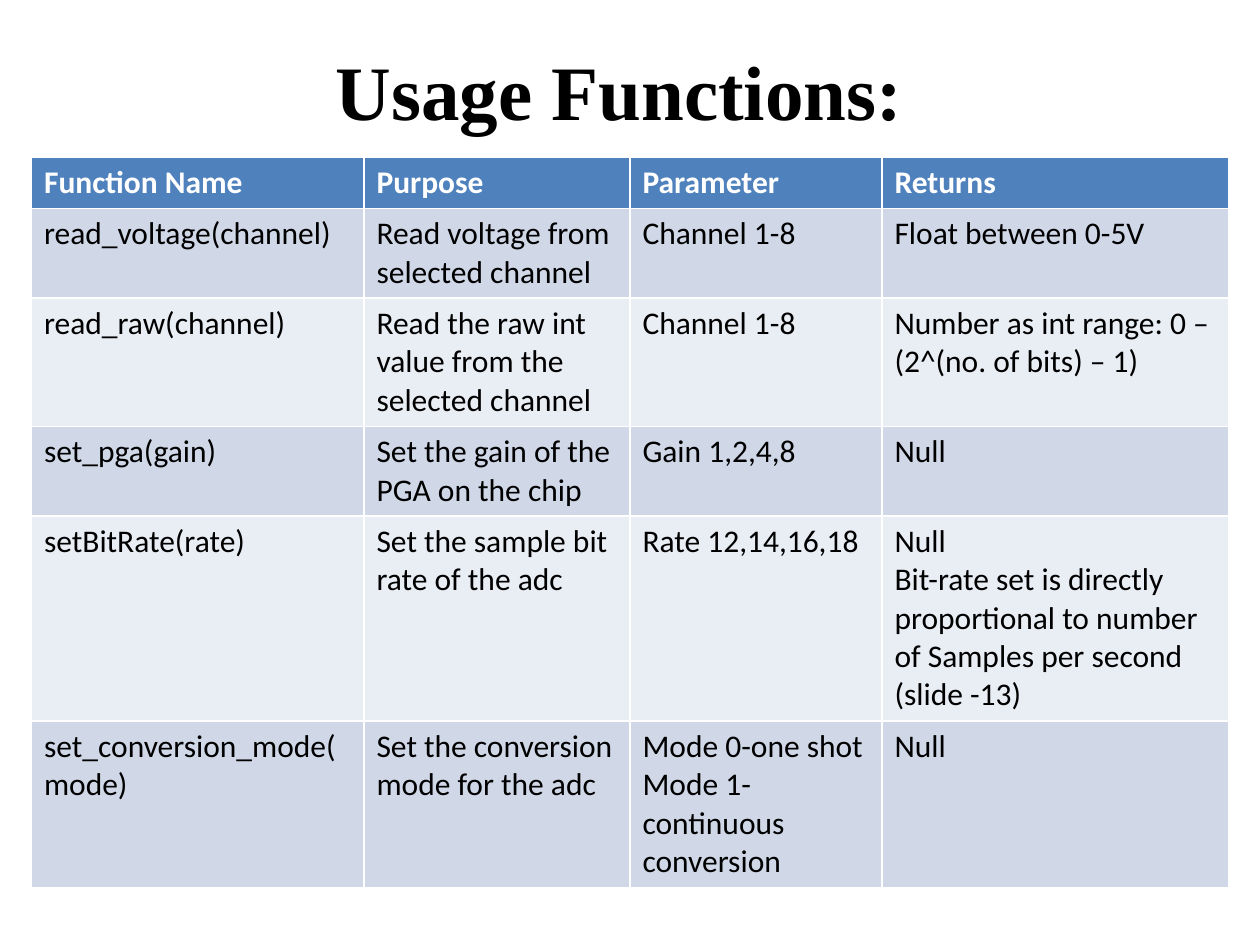
from pptx import Presentation
from pptx.dml.color import RGBColor
from pptx.enum.text import MSO_ANCHOR, PP_ALIGN
from pptx.util import Pt

BLACK = RGBColor(0x00, 0x00, 0x00)
WHITE = RGBColor(0xFF, 0xFF, 0xFF)
HEADER_BLUE = RGBColor(0x4F, 0x81, 0xBD)
BANDS = (RGBColor(0xE9, 0xED, 0xF4), RGBColor(0xD0, 0xD8, 0xE8))

COL_WIDTHS = (190, 152, 144, 198)
LINES_PER_ROW = (1, 2, 3, 2, 5, 4)
LINE_HEIGHT = 22
CELL_MARGINS = 7.2

FUNCTIONS = (
    ("Function Name", "Purpose", "Parameter", "Returns"),
    ("read_voltage(channel)", "Read voltage from selected channel",
     "Channel 1-8", "Float between 0-5V"),
    ("read_raw(channel)", "Read the raw int value from the selected channel",
     "Channel 1-8", "Number as int range: 0 – (2^(no. of bits) – 1)"),
    ("set_pga(gain)", "Set the gain of the PGA on the chip",
     "Gain 1,2,4,8", "Null"),
    ("setBitRate(rate)", "Set the sample bit rate of the adc",
     "Rate 12,14,16,18",
     "Null\nBit-rate set is directly proportional to number of "
     "Samples per second (slide -13)"),
    ("set_conversion_mode(mode)", "Set the conversion mode for the adc",
     "Mode 0-one shot\nMode 1-continuous conversion", "Null"),
)


def add_run(p, text, font, size, color, bold):
    """Append a formatted run to a paragraph."""
    r = p.add_run()
    r.text = text
    r.font.name = font
    r.font.size = Pt(size)
    r.font.color.rgb = color
    r.font.bold = bold


def place_title(s, text, left, top, width, height):
    """Place the title placeholder in the given box."""
    sp = s.shapes.title
    sp.left, sp.top, sp.width, sp.height = map(Pt, (left, top, width, height))
    tf = sp.text_frame
    tf.vertical_anchor = MSO_ANCHOR.MIDDLE
    p = tf.paragraphs[0]
    p.alignment = PP_ALIGN.CENTER
    add_run(p, text, "Times New Roman", 44, BLACK, True)


def fill_cell(cell, text, fill, color, bold):
    """Colour a cell and write one paragraph per line of text."""
    cell.fill.solid()
    cell.fill.fore_color.rgb = fill
    tf = cell.text_frame
    for i, line in enumerate(text.split("\n")):
        p = tf.add_paragraph() if i else tf.paragraphs[0]
        add_run(p, line, "Calibri", 18, color, bold)


def place_function_table(s, rows, left, top):
    """Place the function table with its top left corner at the given point."""
    heights = [CELL_MARGINS + LINE_HEIGHT * n for n in LINES_PER_ROW]
    table = s.shapes.add_table(len(rows), len(COL_WIDTHS), Pt(left), Pt(top),
                               Pt(sum(COL_WIDTHS)), Pt(sum(heights))).table
    for column, width in zip(table.columns, COL_WIDTHS):
        column.width = Pt(width)
    for i, (row, height, texts) in enumerate(zip(table.rows, heights, rows)):
        row.height = Pt(height)
        header = i == 0
        fill = HEADER_BLUE if header else BANDS[i % 2]
        for cell, text in zip(row.cells, texts):
            fill_cell(cell, text, fill, WHITE if header else BLACK, header)


def main():
    """Build the slide and save it."""
    prs = Presentation()
    prs.slide_width, prs.slide_height = Pt(720), Pt(540)
    s = prs.slides.add_slide(prs.slide_layouts[5])
    place_title(s, "Usage Functions:", 30, 6, 648, 90)
    place_function_table(s, FUNCTIONS, 18, 90)
    prs.save("out.pptx")


if __name__ == "__main__":
    main()
